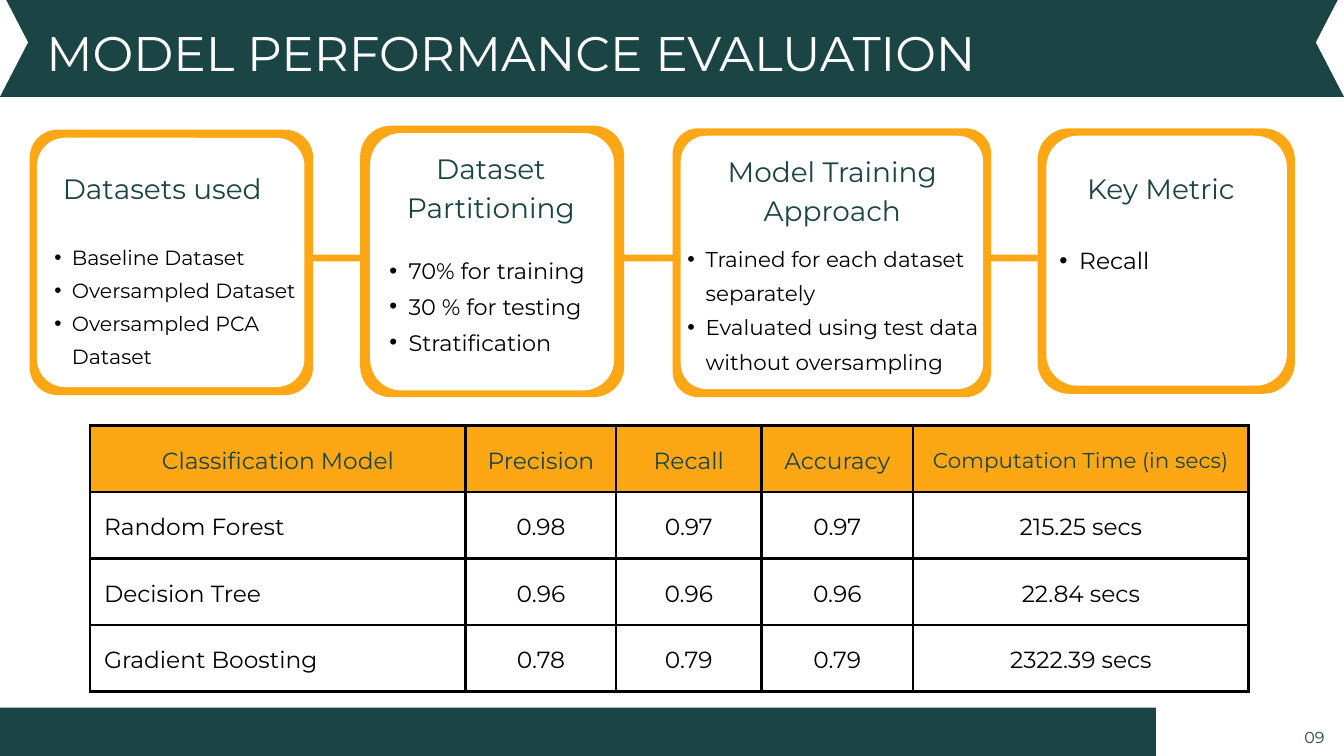
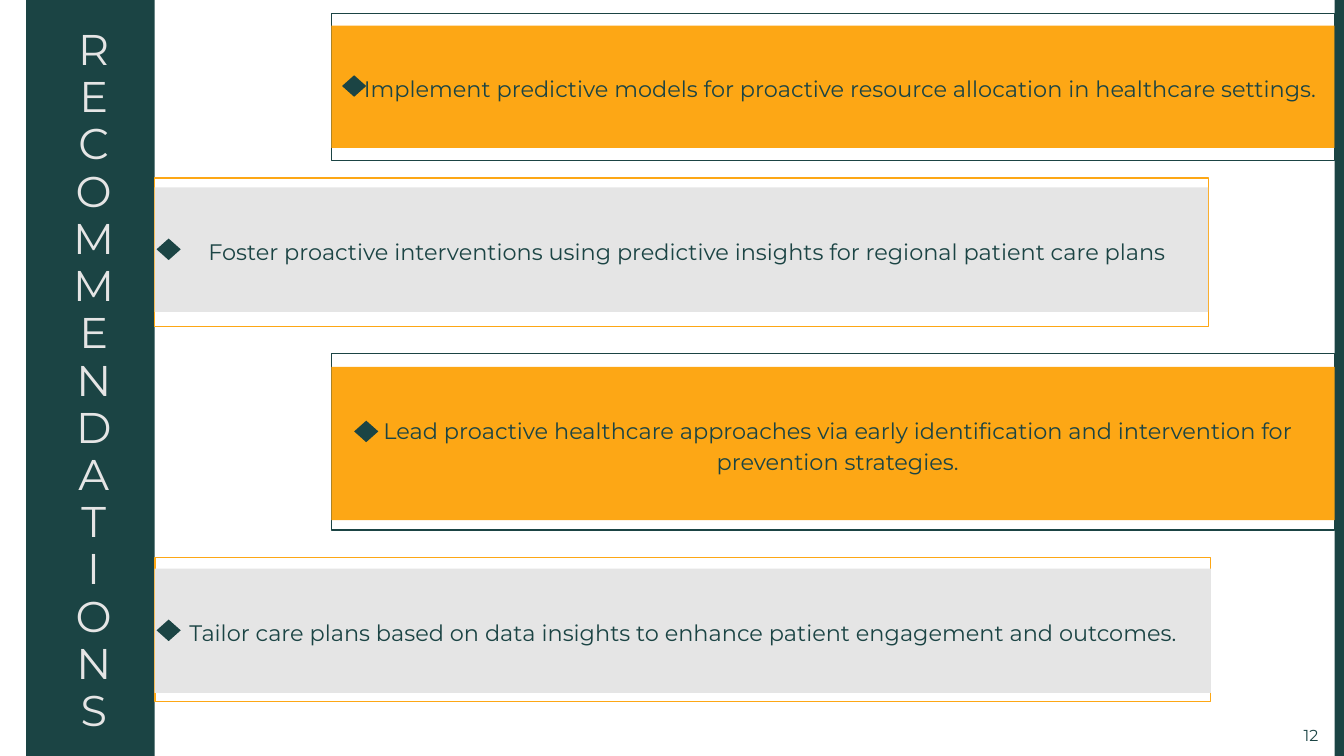
from typing import NamedTuple, Optional, Sequence

from lxml.etree import SubElement
from pptx import Presentation
from pptx.dml.color import RGBColor
from pptx.enum.shapes import MSO_SHAPE
from pptx.enum.text import MSO_ANCHOR, PP_ALIGN
from pptx.oxml.ns import qn
from pptx.util import Pt

# Shared look: 100 px to the inch
PX = 9144
WIDE, HIGH = 2000, 1125
FONT = "Montserrat"
COLORS = {
    "green": "1B4444",
    "amber": "FDA715",
    "grey": "E5E5E5",
    "white": "FFFFFF",
    "black": "000000",
}
LEFT, MID, RIGHT = PP_ALIGN.LEFT, PP_ALIGN.CENTER, PP_ALIGN.RIGHT


class Box(NamedTuple):
    x: int
    y: int
    w: int
    h: int

    def emu(self) -> list[int]:
        return [side * PX for side in self]


class Card(NamedTuple):
    outer: Box
    inner: Box
    curve: int
    title: str
    head: Box
    items: list[str]
    body: Box
    size: int
    lead: float
    dent: int


class Panel(NamedTuple):
    frame: Box
    block: Box
    edge: str
    fill: str
    mark: tuple[int, int]
    text: str
    align: PP_ALIGN = MID
    dent: int = 0


def tint(name: str) -> RGBColor:
    return RGBColor.from_string(COLORS[name])


# Text and shape helpers
def write(frame, lines: Sequence[str], *, size: float, lead: float,
          color: str = "green", align: PP_ALIGN = LEFT, dent: int = 0,
          bullet: bool = False, inset: int = 0,
          anchor: MSO_ANCHOR = MSO_ANCHOR.TOP) -> None:
    frame.word_wrap = True
    frame.vertical_anchor = anchor
    frame.margin_left = frame.margin_right = inset * PX
    frame.margin_top = frame.margin_bottom = inset * PX
    for i, line in enumerate(lines):
        para = frame.paragraphs[0] if i == 0 else frame.add_paragraph()
        para.alignment = align
        para.line_spacing = Pt(lead)
        props = para._p.get_or_add_pPr()
        if dent:
            props.set("marL", str(dent * PX))
        if bullet:
            props.set("indent", str(-dent * PX // 2))
            SubElement(props, qn("a:buFont"), typeface="Arial")
            SubElement(props, qn("a:buChar"), char="•")
        run = para.add_run()
        run.text = line
        run.font.name = FONT
        run.font.size = Pt(size)
        run.font.color.rgb = tint(color)


def label(slide, box: Box, lines: Sequence[str], **style) -> None:
    write(slide.shapes.add_textbox(*box.emu()).text_frame, lines, **style)


def paint(shape, fill: Optional[str], edge: Optional[str] = None) -> None:
    shape.shadow.inherit = False
    if fill:
        shape.fill.solid()
        shape.fill.fore_color.rgb = tint(fill)
    else:
        shape.fill.background()
    if edge:
        shape.line.color.rgb = tint(edge)
        shape.line.width = Pt(1.5)
    else:
        shape.line.fill.background()


def draw(slide, box: Box, fill: Optional[str], *, edge: Optional[str] = None,
         kind: MSO_SHAPE = MSO_SHAPE.RECTANGLE, curve: int = 0):
    shape = slide.shapes.add_shape(kind, *box.emu())
    if curve:
        shape.adjustments[0] = curve / min(box.w, box.h)
    paint(shape, fill, edge)
    return shape


def number(slide, x: int, y: int, text: str) -> None:
    label(slide, Box(x, y, 60, 30), [text], size=17, lead=22.1, align=RIGHT)


# Model performance slide
CARDS = [
    Card(Box(536, 187, 393, 404), Box(551, 198, 363, 383), 46,
         "Dataset Partitioning", Box(547, 217, 367, 116),
         ["70% for training", "30 % for testing", "Stratification"],
         Box(551, 369, 343, 155), 24, 38.4, 57),
    Card(Box(1001, 191, 474, 400), Box(1013, 202, 450, 377), 38,
         "Model Training Approach", Box(1055, 222, 367, 116),
         ["Trained for each dataset separately",
          "Evaluated using test data without oversampling"],
         Box(996, 353, 474, 201), 23, 36.8, 54),
    Card(Box(44, 193, 422, 395), Box(55, 205, 398, 371), 42,
         "Datasets used", Box(58, 247, 367, 57),
         ["Baseline Dataset", "Oversampled Dataset",
          "Oversampled PCA Dataset"],
         Box(55, 353, 391, 189), 22, 35.2, 52),
    Card(Box(1544, 191, 383, 395), Box(1557, 202, 358, 372), 47,
         "Key Metric", Box(1544, 247, 367, 57),
         ["Recall"], Box(1547, 353, 367, 51), 25, 40, 59),
]
COLS = [559, 224, 216, 226, 499]
ROWS = [
    ["Classification Model", "Precision", "Recall", "Accuracy",
     "Computation Time (in secs)"],
    ["Random Forest", "0.98", "0.97", "0.97", "215.25 secs"],
    ["Decision Tree", "0.96", "0.96", "0.96", "22.84 secs"],
    ["Gradient Boosting", "0.78", "0.79", "0.79", "2322.39 secs"],
]


def border(cell) -> None:
    props = cell._tc.get_or_add_tcPr()
    for i, side in enumerate(("lnL", "lnR", "lnT", "lnB")):
        line = SubElement(props, qn(f"a:{side}"), w=str(Pt(3)))
        fill = SubElement(line, qn("a:solidFill"))
        SubElement(fill, qn("a:srgbClr"), val=COLORS["black"])
        props.insert(i, line)


def scores(slide, box: Box) -> None:
    table = slide.shapes.add_table(len(ROWS), len(COLS), *box.emu()).table
    table.first_row = table.horz_banding = False
    for col, width in zip(table.columns, COLS):
        col.width = width * PX
    for r, row in enumerate(ROWS):
        table.rows[r].height = box.h // len(ROWS) * PX
        for c, text in enumerate(row):
            cell = table.cell(r, c)
            top, last = r == 0, r == 0 and c == len(COLS) - 1
            write(cell.text_frame, [text], size=23 if last else 25,
                  lead=32.2 if last else 35,
                  color="green" if top else "black",
                  align=MID if top or c else LEFT)
            cell.vertical_anchor = MSO_ANCHOR.MIDDLE
            cell.margin_left = cell.margin_right = 21 * PX
            cell.margin_top = cell.margin_bottom = 21 * PX
            if top:
                cell.fill.solid()
                cell.fill.fore_color.rgb = tint("amber")
            else:
                cell.fill.background()
            border(cell)


def ribbon(slide) -> None:
    top, fold, base, notch = -18, 63, 144, 42
    pen = slide.shapes.build_freeform(WIDE, top, scale=PX)
    pen.add_line_segments([(0, top), (notch, fold), (0, base), (WIDE, base),
                           (WIDE - notch, fold)], close=True)
    paint(pen.convert_to_shape(), "green")


def models(slide) -> None:
    draw(slide, Box(0, 1053, 1720, 115), "green")
    scores(slide, Box(134, 633, sum(COLS), 396))
    # Bar behind the cards
    draw(slide, Box(449, 379, 1095, 10), "amber")
    for card in CARDS:
        for box, fill in ((card.outer, "amber"), (card.inner, "white")):
            draw(slide, box, fill, kind=MSO_SHAPE.ROUNDED_RECTANGLE,
                 curve=card.curve)
        label(slide, card.head, [card.title], size=30, lead=42, align=MID)
        label(slide, card.body, card.items, size=card.size, lead=card.lead,
              color="black", dent=card.dent, bullet=True)
    ribbon(slide)
    label(slide, Box(69, 6, 1449, 107), ["MODEL PERFORMANCE EVALUATION"],
          size=52, lead=83.2, color="white")
    number(slide, 1911, 1081, "09")


# Recommendations slide
PANELS = [
    Panel(Box(230, 265, 1568, 221), Box(230, 279, 1568, 185),
          "amber", "grey", (233, 355),
          "Foster proactive interventions using predictive insights for "
          "regional patient care plans", dent=16),
    Panel(Box(493, 20, 1493, 219), Box(493, 38, 1493, 182),
          "green", "amber", (509, 112),
          "Implement predictive models for proactive resource allocation in "
          "healthcare settings.", RIGHT),
    Panel(Box(493, 526, 1493, 263), Box(493, 546, 1507, 228),
          "green", "amber", (527, 626),
          "Lead proactive healthcare approaches via early identification and "
          "intervention for prevention strategies."),
    Panel(Box(231, 830, 1570, 214), Box(230, 846, 1572, 185),
          "amber", "grey", (233, 922),
          "Tailor care plans based on data insights to enhance patient "
          "engagement and outcomes."),
]


def advice(slide) -> None:
    draw(slide, Box(39, 0, 191, HIGH), "green")
    for panel in PANELS:
        draw(slide, panel.frame, None, edge=panel.edge)
        block = draw(slide, panel.block, panel.fill)
        write(block.text_frame, [panel.text], size=24, lead=33.6,
              align=panel.align, dent=panel.dent, inset=28,
              anchor=MSO_ANCHOR.MIDDLE)
        draw(slide, Box(*panel.mark, 36, 32), "green", kind=MSO_SHAPE.DIAMOND)
    draw(slide, Box(1986, 0, 14, HIGH), "green")
    # Title reads downwards, one letter a line
    label(slide, Box(73, 40, 133, 1049), list("RECOMMENDATIONS"),
          size=46, lead=50.6, color="grey", align=MID)
    number(slide, 1902, 1078, "12")


def main() -> None:
    deck = Presentation()
    deck.slide_width, deck.slide_height = WIDE * PX, HIGH * PX
    for build in (models, advice):
        build(deck.slides.add_slide(deck.slide_layouts[6]))
    deck.save("out.pptx")


if __name__ == "__main__":
    main()
